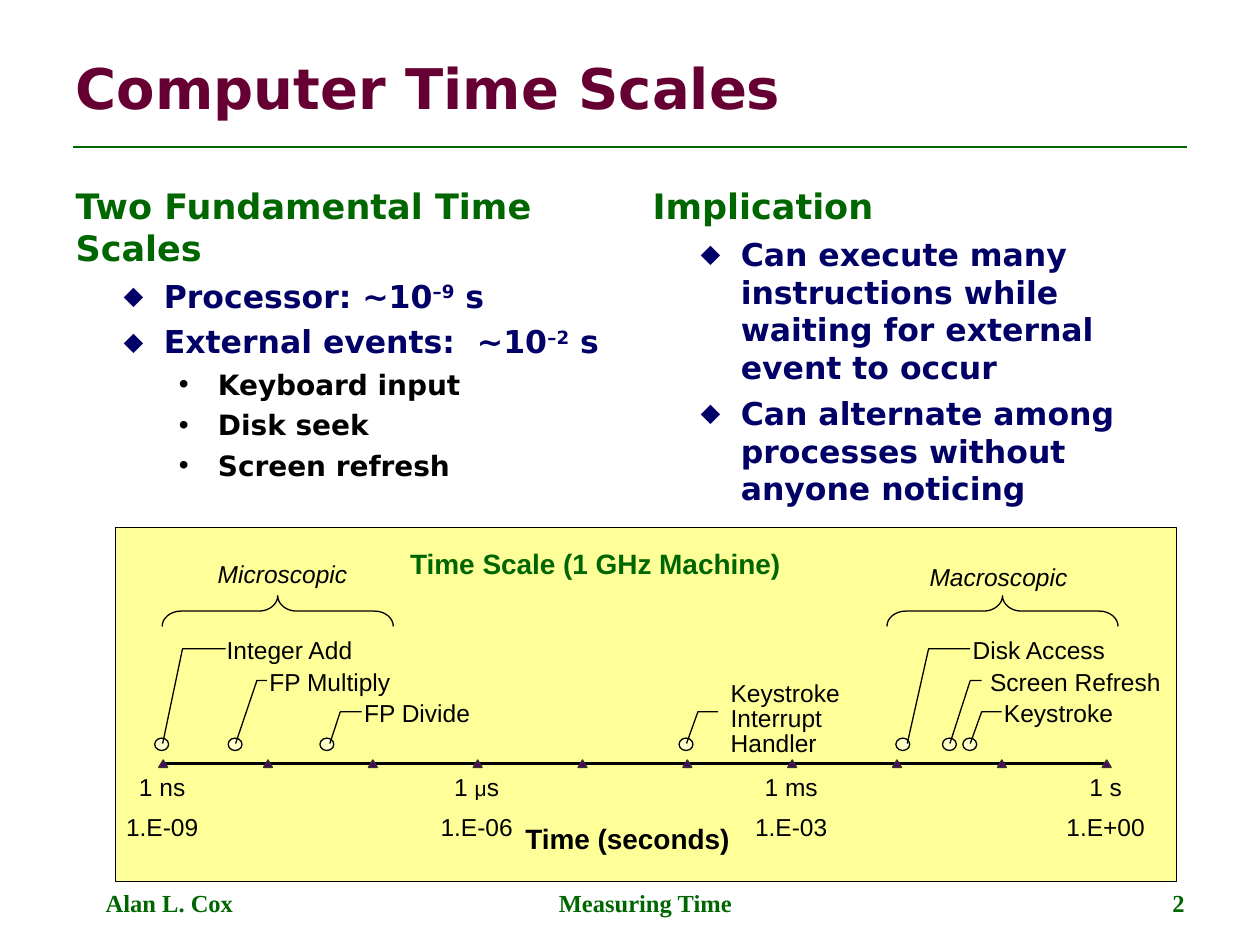
from itertools import pairwise
from math import cos, pi, sin

from lxml.etree import SubElement
from pptx import Presentation
from pptx.dml.color import RGBColor
from pptx.enum.shapes import MSO_CONNECTOR, MSO_SHAPE
from pptx.enum.text import MSO_ANCHOR as Anchor, MSO_AUTO_SIZE as Fit, PP_ALIGN as Align
from pptx.oxml.ns import qn
from pptx.util import Cm, Pt

COLORS = {
    "paper": "FFFFFF", "heading": "660033", "green": "006600", "navy": "000066",
    "ink": "000000", "panel": "FFFF99", "event": "FFFFCC", "tick": "550066",
    "tick_edge": "333333",
}
LEVELS = [
    dict(size=20, color="green", before=5, margin=0, hang=0, bullet=None, scale=100),
    dict(size=18, color="navy", before=4.5, margin=1.78, hang=0.81, bullet="⬥", scale=90),
    dict(size=16, color="ink", before=4, margin=2.87, hang=0.79, bullet="•", scale=100),
]


def rgb(name):
    return RGBColor.from_string(COLORS[name])


def write(paragraph, text, size=14, color="ink", font="Arial", bold=False,
          italic=False, align=Align.LEFT, baseline=None):
    paragraph.alignment = align
    run = paragraph.add_run()
    run.text = text
    run.font.name, run.font.size = font, Pt(size)
    run.font.bold, run.font.italic = bold, italic
    run.font.color.rgb = rgb(color)
    if baseline:
        run._r.get_or_add_rPr().set("baseline", str(baseline * 1000))


class SlideBuilder:
    heading_font = "DejaVu Sans"
    footer_font = "Times New Roman"

    def __init__(self, slide):
        self.slide = slide
        self.shapes = slide.shapes
        slide.background.fill.solid()
        slide.background.fill.fore_color.rgb = rgb("paper")

    def place(self, holder, left, top, width, height, anchor):
        holder.left, holder.top = Cm(left), Cm(top)
        holder.width, holder.height = Cm(width), Cm(height)
        frame = holder.text_frame
        frame.auto_size, frame.vertical_anchor = Fit.NONE, anchor
        return frame

    def title(self, text):
        frame = self.place(self.shapes.title, 1.27, 0.76, 22.86, 1.98, Anchor.MIDDLE)
        write(frame.paragraphs[0], text, size=32, color="heading",
              font=self.heading_font, bold=True)

    def outline(self, index, left, items):
        frame = self.place(self.slide.placeholders[index], left, 3.6, 11.23, 13.41, Anchor.TOP)
        for position, (level, *parts) in enumerate(items):
            entry = frame.add_paragraph() if position else frame.paragraphs[0]
            look = LEVELS[level]
            entry.level, entry.space_before = level, Pt(look["before"])
            for order, part in enumerate(parts):
                write(entry, part, size=look["size"], color=look["color"], bold=True,
                      font=self.heading_font, baseline=30 if order % 2 else None)
            self.bullet(entry, look)

    def bullet(self, entry, look):
        props = entry._p.get_or_add_pPr()
        props.set("marL", str(Cm(look["margin"])))
        props.set("indent", str(-Cm(look["hang"])))
        if look["bullet"] is None:
            SubElement(props, qn("a:buNone"))
            return
        tint = SubElement(props, qn("a:buClr"))
        SubElement(tint, qn("a:srgbClr")).set("val", COLORS[look["color"]])
        SubElement(props, qn("a:buSzPct")).set("val", str(look["scale"] * 1000))
        SubElement(props, qn("a:buChar")).set("char", look["bullet"])

    def label(self, left, top, width, *parts, height=0.58, sizes=(14,), **style):
        frame = self.shapes.add_textbox(Cm(left), Cm(top), Cm(width), Cm(height)).text_frame
        frame.margin_left = frame.margin_right = frame.margin_top = frame.margin_bottom = 0
        frame.word_wrap, frame.auto_size = True, Fit.NONE
        for order, part in enumerate(parts):
            write(frame.paragraphs[0], part, size=sizes[order % len(sizes)], **style)

    def footer(self, left, width, text, align):
        frame = self.shapes.add_textbox(Cm(left), Cm(17.78), Cm(width), Cm(0.89)).text_frame
        frame.word_wrap = True
        write(frame.paragraphs[0], text, color="green", font=self.footer_font,
              bold=True, align=align)
        frame.paragraphs[0]._p.get_or_add_pPr().set("marL", str(Cm(0.61)))

    def finish(self, shape, fill, line, weight):
        shape.shadow.inherit = False
        if fill:
            shape.fill.solid()
            shape.fill.fore_color.rgb = rgb(fill)
        else:
            shape.fill.background()
        shape.line.color.rgb, shape.line.width = rgb(line), Pt(weight)

    def shape(self, preset, left, top, width, height, fill, weight=0.75):
        shape = self.shapes.add_shape(preset, Cm(left), Cm(top), Cm(width), Cm(height))
        self.finish(shape, fill, "ink", weight)

    def path_through(self, points, fill=None, line="ink"):
        start, *rest = [(Cm(x), Cm(y)) for x, y in points]
        builder = self.shapes.build_freeform(*start)
        builder.add_line_segments(rest, close=fill is not None)
        self.finish(builder.convert_to_shape(), fill, line, 0.75)

    def rule(self, start, end, y, color, weight):
        line = self.shapes.add_connector(MSO_CONNECTOR.STRAIGHT, Cm(start), Cm(y), Cm(end), Cm(y))
        line.line.color.rgb, line.line.width = rgb(color), Pt(weight)
        SubElement(line._element.spPr, qn("a:effectLst"))

    def brace(self, center, top, half=2.33, bend=0.38, rise=0.31):
        turns = [step * pi / 16 for step in range(9)]
        side = [(bend * (1 - cos(t)), rise * sin(t)) for t in turns]
        side += [(half - bend + bend * sin(t), rise + rise * (1 - cos(t))) for t in turns]
        left = [(center - x, top + y) for x, y in reversed(side)]
        right = [(center + x, top + y) for x, y in side[1:]]
        self.path_through(left + right)


def draw_time_scale(page):
    axis_start, axis_end, axis_y = 3.29, 22.31, 15.39
    ticks = [axis_start + (axis_end - axis_start) * n / 9 for n in range(10)]
    page.shape(MSO_SHAPE.RECTANGLE, 2.33, 10.63, 21.38, 7.14, "panel", 0.25)

    page.label(8.27, 11.02, 7.8, "Time Scale (1 GHz Machine)", height=0.69,
               sizes=(16,), color="green", bold=True)
    page.label(10.59, 16.56, 4.4, "Time (seconds)", height=0.69, sizes=(16,), bold=True)
    for name, left, top, center in [
        ("Microscopic", 4.39, 11.27, 5.6),
        ("Macroscopic", 18.74, 11.33, 20.21),
    ]:
        page.label(left, top, 3, name, italic=True)
        page.brace(center, 12.01)

    for start, end in pairwise(ticks):
        page.rule(start, end, axis_y, "ink", 1.62)
    for x in ticks:
        page.path_through([(x, 15.32), (x + 0.09, 15.47), (x - 0.09, 15.47)],
                          fill="tick", line="tick_edge")

    units = [("1 ns",), ("1 ", "μ", "s"), ("1 ms",), ("1 s",)]
    exponents = ["1.E-09", "1.E-06", "1.E-03", "1.E+00"]
    for x, unit, exponent in zip(ticks[::3], units, exponents):
        page.label(x - 0.72, 15.57, 1.4, *unit, sizes=(14, 12), align=Align.CENTER)
        page.label(x - 0.92, 16.36, 1.8, exponent, align=Align.CENTER)

    foot_y, rows = 14.99, [13.08, 13.72, 14.35]
    for circle, foot, bend, end, row in [
        (3.12, 3.28, 3.68, 4.55, 0),
        (4.6, 4.75, 5.18, 5.38, 1),
        (6.45, 6.65, 6.86, 7.29, 2),
        (13.69, 13.84, 14.07, 14.48, 2),
        (18.06, 18.29, 18.72, 19.56, 0),
        (19, 19.15, 19.56, 19.79, 1),
        (19.41, 19.56, 19.79, 20.19, 2),
    ]:
        page.shape(MSO_SHAPE.OVAL, circle, 14.88, 0.28, 0.25, "event")
        page.path_through([(foot, foot_y), (bend, rows[row]), (end, rows[row])])
    for event, left, width, row in [
        ("Integer Add", 4.57, 2.8, 0),
        ("FP Multiply", 5.43, 2.7, 1),
        ("FP Divide", 7.34, 2.4, 2),
        ("Disk Access", 19.61, 2.9, 0),
        ("Screen Refresh", 19.96, 3.7, 1),
        ("Keystroke", 20.24, 2.5, 2),
    ]:
        page.label(left, rows[row] - 0.28, width, event)
    for line, word in enumerate(["Keystroke", "Interrupt", "Handler"]):
        page.label(14.73, 13.66 + 0.51 * line, 2.5, word)


def main():
    deck = Presentation()
    deck.slide_width, deck.slide_height = Cm(25.4), Cm(19.05)
    page = SlideBuilder(deck.slides.add_slide(deck.slide_layouts[3]))
    page.rule(1.48, 23.92, 2.96, "green", 1.5)
    page.title("Computer Time Scales")
    page.outline(1, 1.27, [
        (0, "Two Fundamental Time Scales"),
        (1, "Processor: ~10", "–9", " s"),
        (1, "External events:  ~10", "–2", " s"),
        (2, "Keyboard input"),
        (2, "Disk seek"),
        (2, "Screen refresh"),
    ])
    page.outline(2, 12.9, [
        (0, "Implication"),
        (1, "Can execute many instructions while waiting for external event to occur"),
        (1, "Can alternate among processes without anyone noticing"),
    ])
    draw_time_scale(page)
    page.footer(8.68, 8.05, "Measuring Time", Align.CENTER)
    page.footer(18.21, 5.92, "2", Align.RIGHT)
    page.footer(1.27, 5.92, "Alan L. Cox", Align.LEFT)
    deck.save("out.pptx")


if __name__ == "__main__":
    main()
